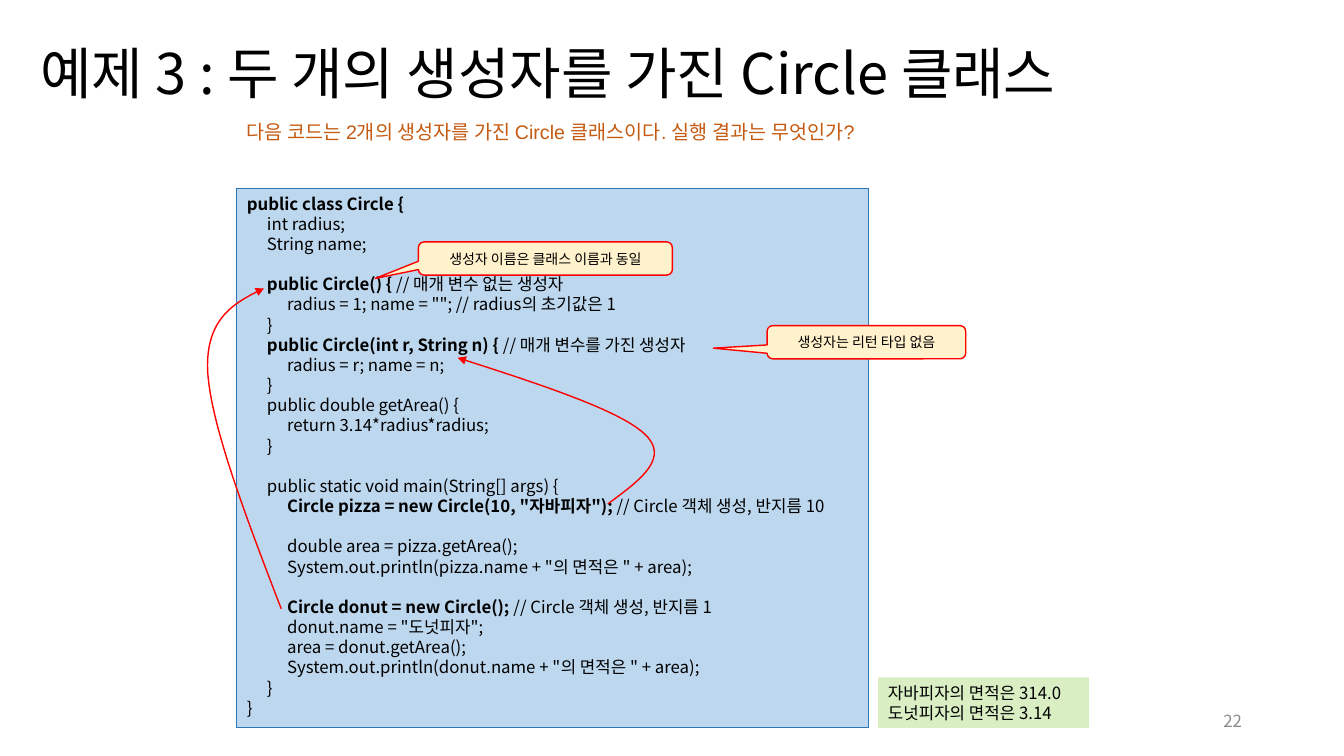
"""Build a slide about a Circle class with two constructors."""
from lxml import etree
from pptx import Presentation
from pptx.dml.color import RGBColor
from pptx.enum.shapes import MSO_SHAPE
from pptx.enum.text import MSO_ANCHOR, PP_ALIGN
from pptx.oxml.ns import qn
from pptx.util import Inches, Pt

RECTANGLE = MSO_SHAPE.RECTANGLE
CALLOUT = MSO_SHAPE.ROUNDED_RECTANGULAR_CALLOUT
TOP, MIDDLE = MSO_ANCHOR.TOP, MSO_ANCHOR.MIDDLE
LEFT, CENTER, RIGHT = PP_ALIGN.LEFT, PP_ALIGN.CENTER, PP_ALIGN.RIGHT
BLACK = RGBColor(0x00, 0x00, 0x00)
GRAY = RGBColor(0x8C, 0x8C, 0x8C)
ORANGE = RGBColor(0xC5, 0x5A, 0x11)
RED = RGBColor(0xFF, 0x00, 0x00)
BLUE = RGBColor(0x2E, 0x75, 0xB6)
LIGHT_BLUE = RGBColor(0xBD, 0xD7, 0xEE)
LIGHT_GREEN = RGBColor(0xDA, 0xEE, 0xC4)
CREAM = RGBColor(0xFF, 0xF2, 0xCC)
KOREAN_FONT = "Noto Sans CJK KR"
LINE_PITCH = Pt(14.4)
TAB_WIDTH = Inches(0.2)
CURVE_STEPS = 24

presentation = Presentation()
presentation.slide_width = Inches(13.33)
presentation.slide_height = Inches(7.5)
COLUMN = presentation.slide_width / 100
ROW = presentation.slide_height / 100
slide = presentation.slides.add_slide(presentation.slide_layouts[6])


def place(box):
    """Turn left, top, width and height in percent of the slide into lengths."""
    left, top, width, height = box
    return round(left * COLUMN), round(top * ROW), round(width * COLUMN), round(height * ROW)


def write(shape, lines, size, color=BLACK, name=KOREAN_FONT, align=LEFT, anchor=TOP, spacing=None):
    """Write lines given as (depth, bold text, plain text, empty rows above)."""
    frame = shape.text_frame
    frame.word_wrap = True
    frame.vertical_anchor = anchor
    for index, (depth, bold, plain, gap) in enumerate(lines):
        paragraph = frame.paragraphs[0] if index == 0 else frame.add_paragraph()
        paragraph.alignment = align
        if spacing:
            paragraph.line_spacing = spacing
        if gap:
            paragraph.space_before = gap * LINE_PITCH
        if depth:
            tabs = etree.SubElement(paragraph._p.get_or_add_pPr(), qn("a:tabLst"))
            for stop in range(1, depth + 1):
                etree.SubElement(tabs, qn("a:tab"), pos=str(stop * TAB_WIDTH), algn="l")
        paragraph.font.size = Pt(size)
        paragraph.font.name = name
        paragraph.font.color.rgb = color
        for text, is_bold in (("\t" * depth, False), (bold, True), (plain, False)):
            if text:
                run = paragraph.add_run()
                run.text = text
                run.font.bold = is_bold


labels = [
    ((2.25, 0.4, 95.1, 19.33), "예제 3 : 두 개의 생성자를 가진 Circle 클래스",
     40, BLACK, KOREAN_FONT, LEFT, MIDDLE, 0.9),
    ((70.65, 92.67, 22.5, 5.33), "22", 12, GRAY, KOREAN_FONT, RIGHT, MIDDLE, None),
    ((17.63, 15.2, 67.8, 4.53),
     "다음 코드는 2개의 생성자를 가진 Circle 클래스이다. 실행 결과는 무엇인가?",
     14, ORANGE, "Arial", LEFT, TOP, None),
]
for box, text, *style in labels:
    write(slide.shapes.add_textbox(*place(box)), [(0, "", text, 0)], *style)

code_lines = [
    (0, "public class Circle {", "", 0),
    (1, "", "int radius;", 0),
    (1, "", "String name;", 0),
    (1, "public Circle() {", " // 매개 변수 없는 생성자", 1),
    (2, "", "radius = 1; name = \"\"; // radius의 초기값은 1", 0),
    (1, "", "}", 0),
    (1, "public Circle(int r, String n) { ", "// 매개 변수를 가진 생성자", 0),
    (2, "", "radius = r; name = n;", 0),
    (1, "", "}", 0),
    (1, "", "public double getArea() {", 0),
    (2, "", "return 3.14*radius*radius;", 0),
    (1, "", "}", 0),
    (1, "", "public static void main(String[] args) {", 1),
    (2, "Circle pizza = new Circle(10, \"자바피자\"); ", "// Circle 객체 생성, 반지름 10", 0),
    (2, "", "double area = pizza.getArea();", 1),
    (2, "", "System.out.println(pizza.name + \"의 면적은 \" + area);", 0),
    (2, "Circle donut = new Circle(); ", "// Circle 객체 생성, 반지름 1", 1),
    (2, "", "donut.name = \"도넛피자\";", 0),
    (2, "", "area = donut.getArea();", 0),
    (2, "", "System.out.println(donut.name + \"의 면적은 \" + area);", 0),
    (1, "", "}", 0),
    (0, "", "}", 0),
]
result_lines = [(0, "", "자바피자의 면적은 314.0", 0), (0, "", "도넛피자의 면적은 3.14", 0)]
panels = [
    ((17.63, 24.93, 47.03, 71.33), LIGHT_BLUE, BLUE, code_lines),
    ((65.33, 89.6, 15.68, 6.67), LIGHT_GREEN, None, result_lines),
]
for box, fill, outline, lines in panels:
    panel = slide.shapes.add_shape(RECTANGLE, *place(box))
    panel.shadow.inherit = False
    panel.fill.solid()
    panel.fill.fore_color.rgb = fill
    if outline:
        panel.line.color.rgb = outline
        panel.line.width = Pt(0.75)
    else:
        panel.line.fill.background()
    write(panel, lines, 12, spacing=LINE_PITCH)

callouts = [
    ((31.13, 32, 18.9, 4.4), (-0.67, 0.6, 0.17), "생성자 이름은 클래스 이름과 동일"),
    ((57.08, 43.07, 14.78, 4.4), (-0.77, 0.18, 0.17), "생성자는 리턴 타입 없음"),
]
for box, adjustments, text in callouts:
    callout = slide.shapes.add_shape(CALLOUT, *place(box))
    for index, value in enumerate(adjustments):
        callout.adjustments[index] = value
    callout.shadow.inherit = False
    callout.fill.solid()
    callout.fill.fore_color.rgb = CREAM
    callout.line.color.rgb = RED
    callout.line.width = Pt(1)
    write(callout, [(0, "", text, 0)], 10, align=CENTER, anchor=MIDDLE)

call_curves = [
    [(45.23, 66.67), (47.55, 63.6), (49.88, 60.67), (48, 57.47),
     (46.13, 54.27), (40.13, 50.8), (34.05, 47.33)],
    [(20.93, 80.53), (18.3, 68.4), (15.68, 56.13), (15.45, 49.07),
     (15.3, 42), (17.48, 40), (19.65, 38.13)],
]
for controls in call_curves:
    points = []
    for start in range(0, len(controls) - 1, 3):
        for step in range(1, CURVE_STEPS + 1):
            t = step / CURVE_STEPS
            weights = ((1 - t) ** 3, 3 * t * (1 - t) ** 2, 3 * t ** 2 * (1 - t), t ** 3)
            segment = list(zip(weights, controls[start:start + 4]))
            points.append((sum(weight * x for weight, (x, y) in segment) * COLUMN,
                           sum(weight * y for weight, (x, y) in segment) * ROW))
    first_x, first_y = controls[0]
    builder = slide.shapes.build_freeform(round(first_x * COLUMN), round(first_y * ROW))
    builder.add_line_segments(points, close=False)
    arrow = builder.convert_to_shape()
    arrow.shadow.inherit = False
    arrow.fill.background()
    arrow.line.color.rgb = RED
    arrow.line.width = Pt(1)
    etree.SubElement(arrow.line._get_or_add_ln(), qn("a:tailEnd"), type="triangle")

presentation.save("out.pptx")
